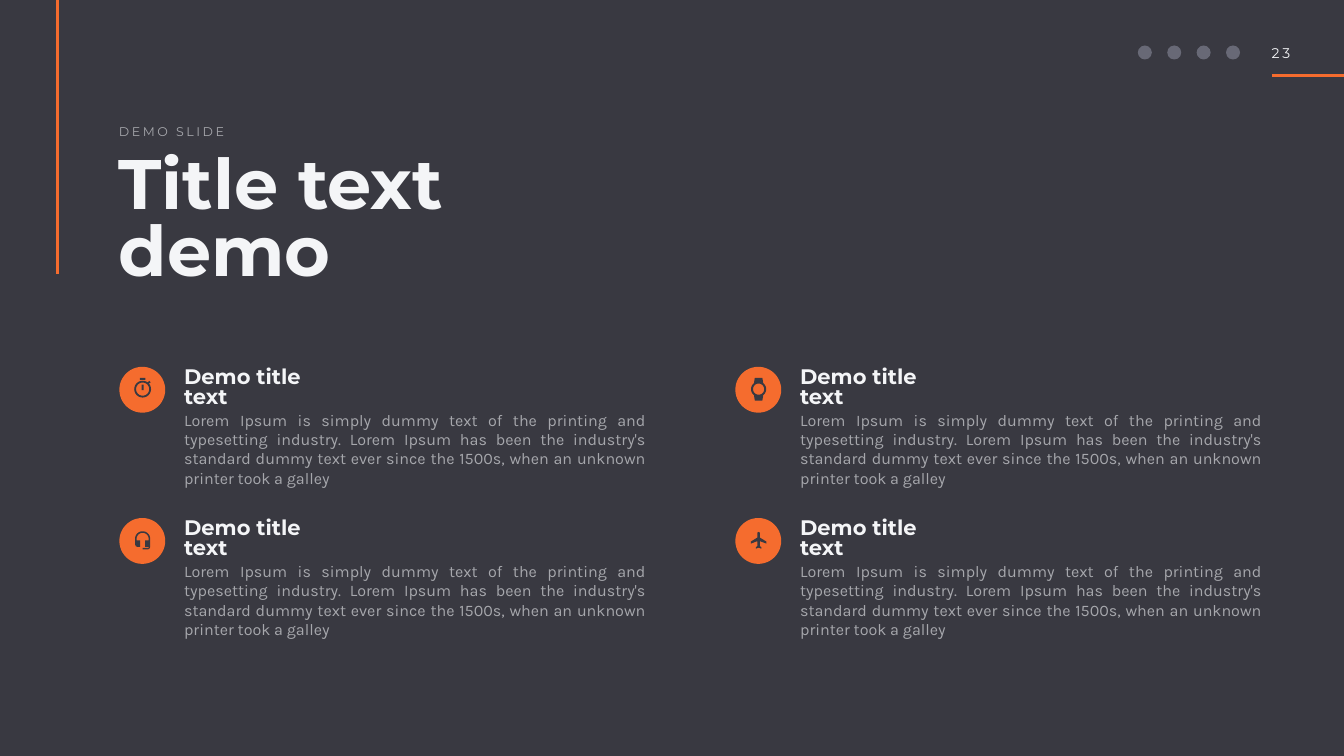
from math import cos, radians, sin

from lxml import etree
from pptx import Presentation
from pptx.dml.color import RGBColor
from pptx.enum.shapes import MSO_CONNECTOR, MSO_SHAPE
from pptx.enum.text import MSO_ANCHOR, MSO_AUTO_SIZE, PP_ALIGN
from pptx.oxml.ns import qn
from pptx.util import Pt

STRAIGHT, OVAL = MSO_CONNECTOR.STRAIGHT, MSO_SHAPE.OVAL
TOP, MIDDLE = MSO_ANCHOR.TOP, MSO_ANCHOR.MIDDLE
LEFT, JUSTIFY = PP_ALIGN.LEFT, PP_ALIGN.JUSTIFY
NO_AUTOFIT = MSO_AUTO_SIZE.NONE

DARK, ORANGE, WHITE = "393941", "F56C2E", "F4F5F7"
GREY, DIM_GREY = "A6A7AC", "686976"
HEADING_FONT, BODY_FONT = "Montserrat", "Karla"

FEATURE_TITLE = "Demo title text"
FEATURE_BODY = (
    "Lorem Ipsum is simply dummy text of the printing and typesetting industry. "
    "Lorem Ipsum has been the industry's standard dummy text ever since the 1500s, "
    "when an unknown printer took a galley"
)

# Grid of features and the badge that holds each icon
GRID_LEFT, GRID_TOP, COLUMN_PITCH, ROW_PITCH = 170.5, 524, 880, 216
BADGE = 65.5
ICON_SHIFT_X, ICON_SHIFT_Y = 0.5, -0.8
UNITS_PER_POINT = 100


def color(hex_value):
    return RGBColor.from_string(hex_value)


def paint(shape, fill):
    shape.shadow.inherit = False
    shape.fill.solid()
    shape.fill.fore_color.rgb = color(fill)
    shape.line.fill.background()


def write(shape, text, size, font=HEADING_FONT, fill=WHITE, bold=False,
          anchor=TOP, align=LEFT, line_spacing=None, tracking=0):
    frame = shape.text_frame
    frame.text = text
    frame.word_wrap = True
    frame.auto_size = NO_AUTOFIT
    frame.vertical_anchor = anchor
    frame.margin_left = frame.margin_right = Pt(3)
    frame.margin_top = frame.margin_bottom = Pt(3)
    paragraph = frame.paragraphs[0]
    paragraph.alignment = align
    paragraph.line_spacing = line_spacing
    run_font = paragraph.runs[0].font
    run_font.name, run_font.size, run_font.bold = font, Pt(size), bold
    run_font.color.rgb = color(fill)
    if tracking:
        paragraph.runs[0]._r.get_or_add_rPr().set("spc", str(int(tracking * 100)))


def add_text(slide, left, top, width, height, text, size, **style):
    box = slide.shapes.add_textbox(Pt(left), Pt(top), Pt(width), Pt(height))
    write(box, text, size, **style)


def add_rule(slide, x1, y1, x2, y2):
    rule = slide.shapes.add_connector(STRAIGHT, Pt(x1), Pt(y1), Pt(x2), Pt(y2))
    rule.line.color.rgb = color(ORANGE)
    rule.line.width = Pt(4)
    etree.SubElement(rule._element.spPr, qn("a:effectLst"))


def add_disc(slide, left, top, size, fill):
    disc = slide.shapes.add_shape(OVAL, Pt(left), Pt(top), Pt(size), Pt(size))
    paint(disc, fill)


def add_icon(slide, center_x, center_y, contours):
    """Draw closed contours, given in points around the centre."""
    scaled = [[(x * UNITS_PER_POINT, y * UNITS_PER_POINT) for x, y in contour]
              for contour in contours]
    builder = slide.shapes.build_freeform(*scaled[0][0], scale=Pt(1) / UNITS_PER_POINT)
    for index, contour in enumerate(scaled):
        if index:
            builder.move_to(*contour[0])
        builder.add_line_segments(contour[1:], close=True)
    paint(builder.convert_to_shape(Pt(center_x), Pt(center_y)), DARK)


def arc(radius, start, end, center_y=0, steps=32):
    angles = [radians(start + (end - start) * i / steps) for i in range(steps + 1)]
    return [(radius * cos(a), center_y + radius * sin(a)) for a in angles]


def stopwatch():
    cap = [(-4, -16), (4, -16), (4, -13.3), (-4, -13.3)]
    hand = [(-1.4, -6.5), (1.4, -6.5), (1.4, 1.5), (-1.4, 1.5)]
    knob = [(9, -8), (11.5, -9.7), (9.5, -11.8), (7.5, -10)]
    return [cap, hand, knob, arc(12, 0, 360), arc(9.4, 0, 360)]


def wristwatch():
    case = ([(5.4, -16.2)] + arc(10.8, -52, 52) + [(5.4, 16.2), (-5.4, 16.2)]
            + arc(10.8, 128, 232) + [(-5.4, -16.2)])
    return [case, arc(8, 0, 360)]


def headset():
    right_cup = [(10.8, 9.4), (9.7, 12), (7.2, 13), (0, 13), (0, 10.8), (8.6, 10.8),
                 (8.6, 9.4), (3.6, 9.4), (3.6, 0), (8.6, 0)]
    left_cup = [(-8.6, 0), (-3.6, 0), (-3.6, 9.4), (-7.2, 9.4), (-9.7, 8.4), (-10.8, 5.8)]
    return [arc(10.8, 180, 360, -2.2) + right_cup + arc(8.6, 360, 180, -2.2) + left_cup]


def airplane():
    right_half = [(0, -12), (1.3, -11.5), (1.8, -10.4), (1.8, -4), (11.2, 1.8), (11.2, 4.7),
                  (1.8, 1.1), (1.8, 8.3), (4, 9.7), (4, 11.9), (0, 10.4)]
    return [right_half + [(-x, y) for x, y in right_half[-2:0:-1]]]


def add_feature(slide, left, top, contours):
    add_disc(slide, left, top, BADGE, ORANGE)
    add_icon(slide, left + BADGE / 2 + ICON_SHIFT_X, top + BADGE / 2 + ICON_SHIFT_Y, contours)
    add_text(slide, left + 89.5, top + 9, 234.5, 43, FEATURE_TITLE, 30,
             bold=True, anchor=MIDDLE, line_spacing=0.8)
    add_text(slide, left + 89.5, top + 59, 666.5, 117, FEATURE_BODY, 23,
             font=BODY_FONT, fill=GREY, align=JUSTIFY)


def add_header(slide):
    # Plain marks for the social links, then the page number
    for index in range(4):
        add_disc(slide, 1625.5 + 42 * index, 65, 20, DIM_GREY)
    add_rule(slide, 1817, 108, 1946, 108)
    add_text(slide, 1813.5, 60, 47.5, 30, "23", 20, tracking=4)

    # Accent rule, kicker and title
    add_rule(slide, 82, -28, 82, 392)
    add_text(slide, 167, 173.5, 305, 28, "DEMO SLIDE", 18, fill=GREY,
             anchor=MIDDLE, tracking=3.6)
    title = slide.shapes.title
    title.left, title.top, title.width, title.height = Pt(166.5), Pt(219.5), Pt(716.5), Pt(250)
    write(title, "Title text demo", 100, bold=True, line_spacing=0.8)


def main():
    prs = Presentation()
    prs.slide_width, prs.slide_height = Pt(1920), Pt(1080)
    slide = prs.slides.add_slide(prs.slide_layouts[5])
    slide.background.fill.solid()
    slide.background.fill.fore_color.rgb = color(DARK)

    add_header(slide)

    # Features, row by row
    icon_rows = [[stopwatch(), wristwatch()], [headset(), airplane()]]
    for row, icons in enumerate(icon_rows):
        for column, contours in enumerate(icons):
            add_feature(slide, GRID_LEFT + column * COLUMN_PITCH,
                        GRID_TOP + row * ROW_PITCH, contours)

    prs.save("out.pptx")


if __name__ == "__main__":
    main()
